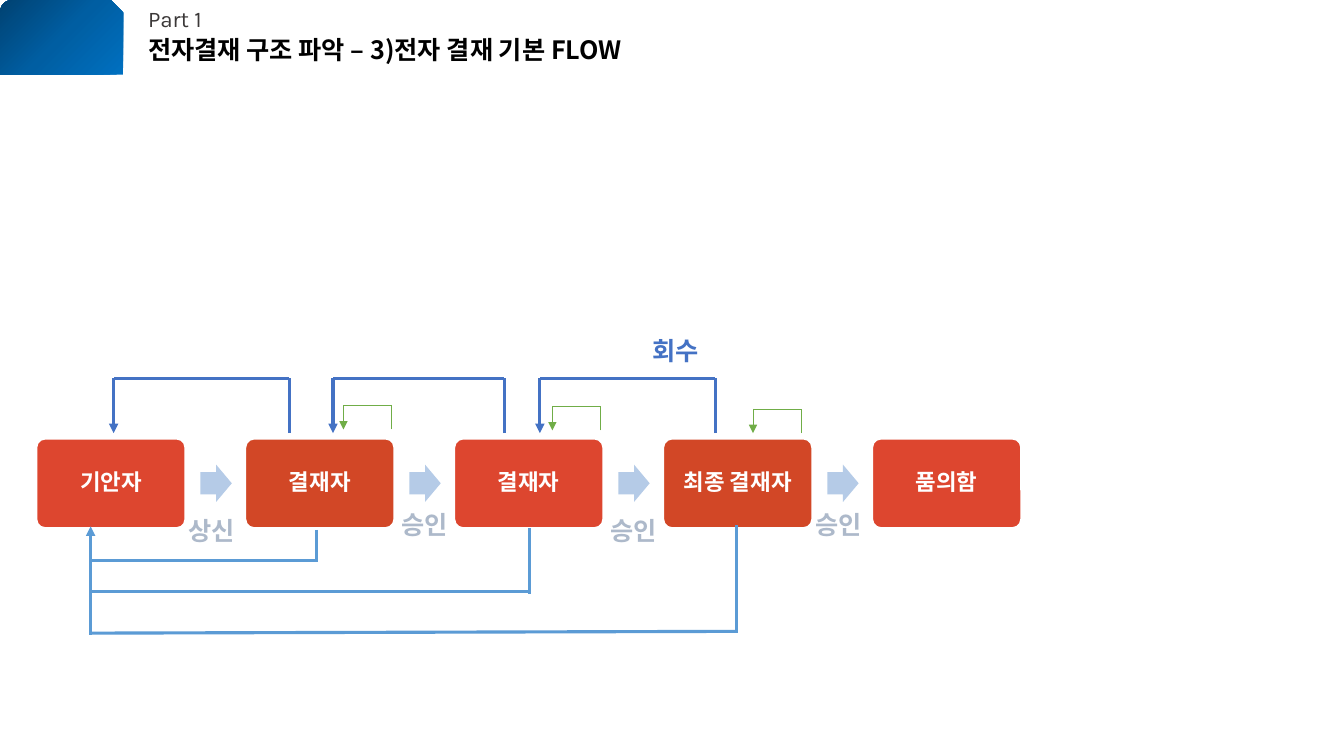
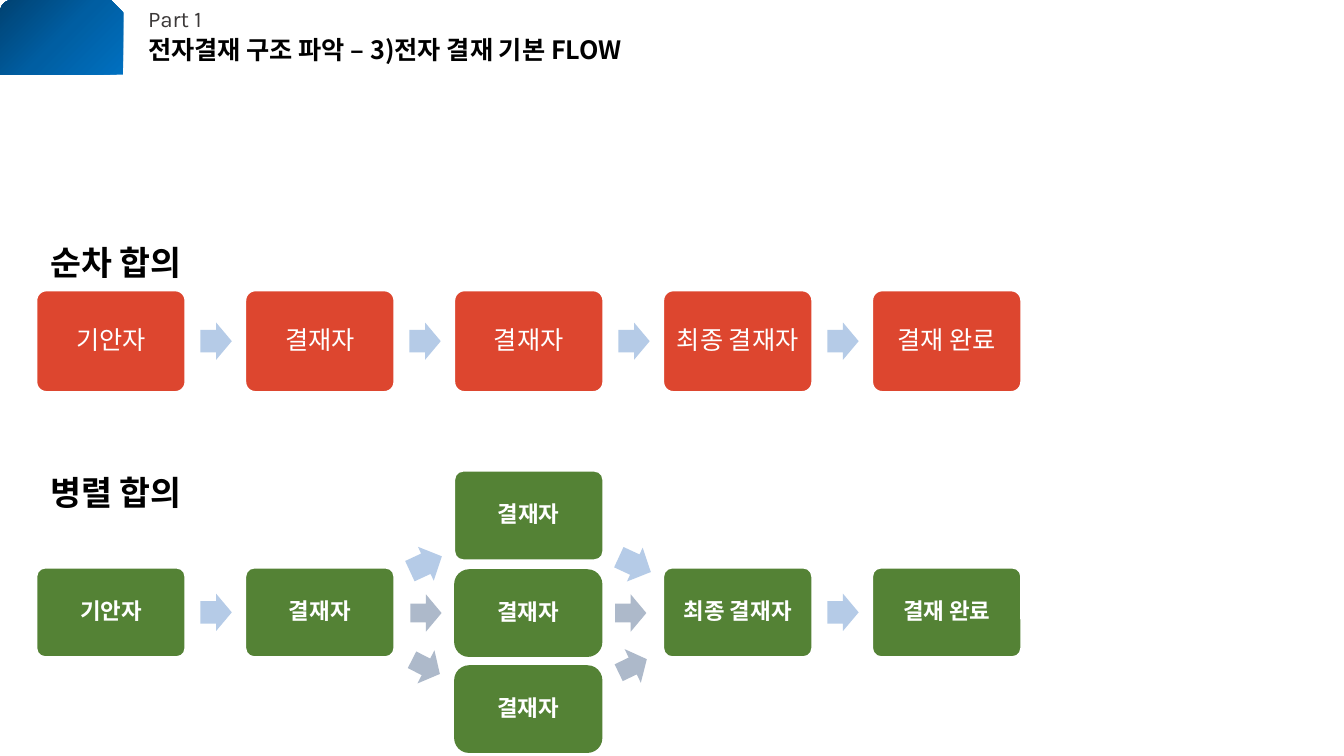
from collections import namedtuple

from lxml.etree import SubElement
from pptx import Presentation
from pptx.dml.color import RGBColor
from pptx.enum.shapes import MSO_CONNECTOR, MSO_SHAPE as Shape
from pptx.enum.text import MSO_ANCHOR as Anchor, MSO_AUTO_SIZE as AutoSize, PP_ALIGN as Align
from pptx.oxml import parse_xml
from pptx.oxml.ns import nsdecls, qn
from pptx.util import Inches, Pt

Box = namedtuple("Box", "left top width height")

LATIN, KOREAN = "Karla", "Noto Sans CJK KR"
RED, RUST, GREEN, WHITE, BLACK = "DD462F", "D24726", "548235", "FFFFFF", "000000"
PALE_BLUE, GRAY = "B5CBE7", "ADB9CA"
RECALL, SELF_RECALL, REJECT = "4472C4", "70AD47", "5B9BD5"
BAND_STOPS = [(0, "004272"), (50, "005EA2"), (100, "0070C0")]

TITLE = "전자결재 구조 파악 – 3)전자 결재 기본 FLOW"
COLUMNS = 5
GAP_SHARE = 0.4
NODE_SHARE = 1 / (COLUMNS + (COLUMNS - 1) * GAP_SHARE)


def color(value):
    return RGBColor.from_string(value)


def assign(target, values):
    for name, value in values.items():
        setattr(target, name, value)


def inches(box):
    return [Inches(value) for value in box]


def node_width(row):
    return row.width * NODE_SHARE


def grid_point(row, column, line):
    pitch = node_width(row) * (1 + GAP_SHARE)
    return row.left + column * pitch, row.top + line * row.height


def write(shape, text, size, tint, bold=False, font=LATIN, align=Align.LEFT,
          spacing=None, **frame_format):
    frame = shape.text_frame
    assign(frame, {"word_wrap": True, "auto_size": AutoSize.NONE, **frame_format})
    para = frame.paragraphs[0]
    assign(para, {"alignment": align, "line_spacing": spacing})
    span = para.add_run()
    span.text = text
    assign(span.font, {"size": Pt(size), "bold": bold, "name": font})
    span.font.color.rgb = color(tint)
    SubElement(span.font._element, qn("a:ea")).set("typeface", KOREAN)


def add_label(page, box, text, size, tint, bold=True):
    label = page.shapes.add_textbox(*inches(box))
    write(label, text, size, tint, bold, word_wrap=False)


def add_solid(page, kind, box, fill, outline=None):
    shape = page.shapes.add_shape(kind, *inches(box))
    shape.shadow.inherit = False
    shape.fill.solid()
    shape.fill.fore_color.rgb = color(fill)
    if outline:
        shape.line.color.rgb = color(outline)
        shape.line.width = Pt(1.5)
    else:
        shape.line.fill.background()
    return shape


def add_node(page, box, text, fill, size=16, bold=True, rounding=0.1, outline=WHITE):
    node = add_solid(page, Shape.ROUNDED_RECTANGLE, box, fill, outline)
    node.adjustments[0] = rounding
    margins = {f"margin_{side}": Inches(0.09) for side in ("left", "right", "top", "bottom")}
    write(node, text, size, WHITE, bold, align=Align.CENTER, spacing=0.9,
          vertical_anchor=Anchor.MIDDLE, **margins)


def add_arrow(page, box, fill=PALE_BLUE, shaft=0.6, rotation=0):
    arrow = add_solid(page, Shape.RIGHT_ARROW, box, fill)
    arrow.adjustments[0] = shaft
    arrow.rotation = rotation


def add_line(page, row, start, end, tint, weight=2.25, arrow=False):
    ends = inches(grid_point(row, *start) + grid_point(row, *end))
    line = page.shapes.add_connector(MSO_CONNECTOR.STRAIGHT, *ends)
    line.line.color.rgb = color(tint)
    line.line.width = Pt(weight)
    if arrow:
        SubElement(line.line._get_or_add_ln(), qn("a:tailEnd")).set("type", "triangle")
    SubElement(line.element.spPr, qn("a:effectLst"))


def add_loop(page, row, start, end, top, bottom, tint, weight):
    corners = [(start, bottom), (start, top), (end, top), (end, bottom)]
    for index in range(3):
        add_line(page, row, corners[index], corners[index + 1], tint, weight, index == 2)


def add_flow(page, row, labels, fills, size=16, bold=True):
    width = node_width(row)
    middle = row.top + row.height / 2
    for column, text in enumerate(labels):
        if not text:
            continue
        left, top = grid_point(row, column, 0)
        add_node(page, Box(left, top, width, row.height), text,
                 fills[column % len(fills)], size, bold)
        if all(labels[column:column + 2]) and column < COLUMNS - 1:
            add_arrow(page, Box(left + 1.1 * width, middle - width / 8,
                                0.21 * width, width / 4))


def add_parallel_step(page, row, text):
    width = node_width(row)
    left, top = grid_point(row, 2, -1.08)
    add_node(page, Box(left, top, width, row.height), text, GREEN)
    for line in (0.02, 1.09):
        left, top = grid_point(row, 2, line)
        add_node(page, Box(left, top, 1.47, 0.87), text, GREEN, rounding=0.17, outline=None)
    arrows = [
        (1.78, -0.25, 0.35, PALE_BLUE, 0.6, 335.1),
        (2.78, -0.24, 0.35, PALE_BLUE, 0.6, 24.9),
        (1.79, 0.3, 0.31, GRAY, 0.5, 0),
        (2.77, 0.3, 0.31, GRAY, 0.5, 0),
        (2.78, 0.89, 0.31, GRAY, 0.5, 334.3),
        (1.79, 0.9, 0.31, GRAY, 0.5, 27.1),
    ]
    for column, line, arrow_width, fill, shaft, rotation in arrows:
        left, top = grid_point(row, column, line)
        add_arrow(page, Box(left, top, arrow_width, 0.37), fill, shaft, rotation)


def add_recalls(page, row):
    for start, end in ((1.21, 0.37), (2.24, 1.42), (3.25, 2.41)):
        add_loop(page, row, start, end, -0.67, -0.06, RECALL, 2.25)
    for start, end, top in ((1.7, 1.47, -0.37), (2.7, 2.47, -0.36), (3.66, 3.43, -0.33)):
        add_loop(page, row, start, end, top, top + 0.27, SELF_RECALL, 0.5)


def add_rejects(page, row):
    home = 0.26
    returns = [(1.34, 1.02, 1.36, 1.36), (2.36, 1, 1.71, 1.71), (3.35, 0.97, 2.15, 2.17)]
    for column, top, bottom, home_line in returns:
        add_line(page, row, (column, top), (column, bottom + 0.02), REJECT)
        add_line(page, row, (home, home_line), (column, bottom), REJECT)
    add_line(page, row, (home, 2.19), (home, 0.98), REJECT, arrow=True)


def add_band(page, layout):
    band = add_solid(page, Shape.SNIP_ROUND_RECTANGLE, Box(0, 0, 1.22, 0.74), BLACK)
    stops = "".join(f'<a:gs pos="{share * 1000}"><a:srgbClr val="{tint}"/></a:gs>'
                    for share, tint in BAND_STOPS)
    gradient = parse_xml(
        f'<a:gradFill {nsdecls("a")} rotWithShape="1"><a:gsLst>{stops}</a:gsLst>'
        '<a:path path="circle"><a:fillToRect r="100000" b="100000"/></a:path></a:gradFill>')
    properties = band.element.spPr
    properties.replace(properties.find(qn("a:solidFill")), gradient)
    layout.shapes.element.append(band.element)


def add_page(deck, layout):
    page = deck.slides.add_slide(layout)
    title = page.shapes.title
    assign(title, dict(zip(Box._fields, inches(Box(1.37, 0.29, 5.6, 0.44)))))
    write(title, TITLE, 18, BLACK, True, KOREAN, vertical_anchor=Anchor.TOP)
    add_label(page, Box(1.37, 0, 0.74, 0.37), "Part 1", 16, "3B3838", False)
    return page


def fill_basic_flow(page):
    row = Box(0.36, 4.35, 9.77, 0.89)
    add_flow(page, row, ["기안자", "결재자", "결재자", "최종 결재자", "품의함"], [RED, RUST])
    add_recalls(page, row)
    add_rejects(page, row)
    labels = [
        ("회수", 2.9, -1.21, RECALL),
        ("상신", 0.68, 0.8, GRAY),
        ("승인", 1.7, 0.74, GRAY),
        ("승인", 2.7, 0.8, GRAY),
        ("승인", 3.68, 0.74, GRAY),
    ]
    for text, column, line, tint in labels:
        add_label(page, Box(*grid_point(row, column, line), 0.71, 0.4), text, 18, tint)


def fill_agreement_flows(page):
    serial = Box(0.36, 2.88, 9.77, 1.01)
    parallel = Box(0.36, 5.63, 9.77, 0.89)
    add_flow(page, serial, ["기안자", "결재자", "결재자", "최종 결재자", "결재 완료"],
             [RED], 18, False)
    add_flow(page, parallel, ["기안자", "결재자", "", "최종 결재자", "결재 완료"], [GREEN])
    add_parallel_step(page, parallel, "결재자")
    for row, line, text in ((serial, -0.52, "순차 합의"), (parallel, -1.12, "병렬 합의")):
        add_label(page, Box(*grid_point(row, 0.02, line), 1.64, 0.5), text, 24, BLACK)


def main():
    deck = Presentation()
    assign(deck, {"slide_width": Inches(13.33), "slide_height": Inches(7.5)})
    layout = deck.slide_layouts.get_by_name("Title Only")
    pages = [add_page(deck, layout) for _ in range(2)]
    add_band(pages[0], layout)
    fill_basic_flow(pages[0])
    fill_agreement_flows(pages[1])
    deck.save("out.pptx")


if __name__ == "__main__":
    main()
